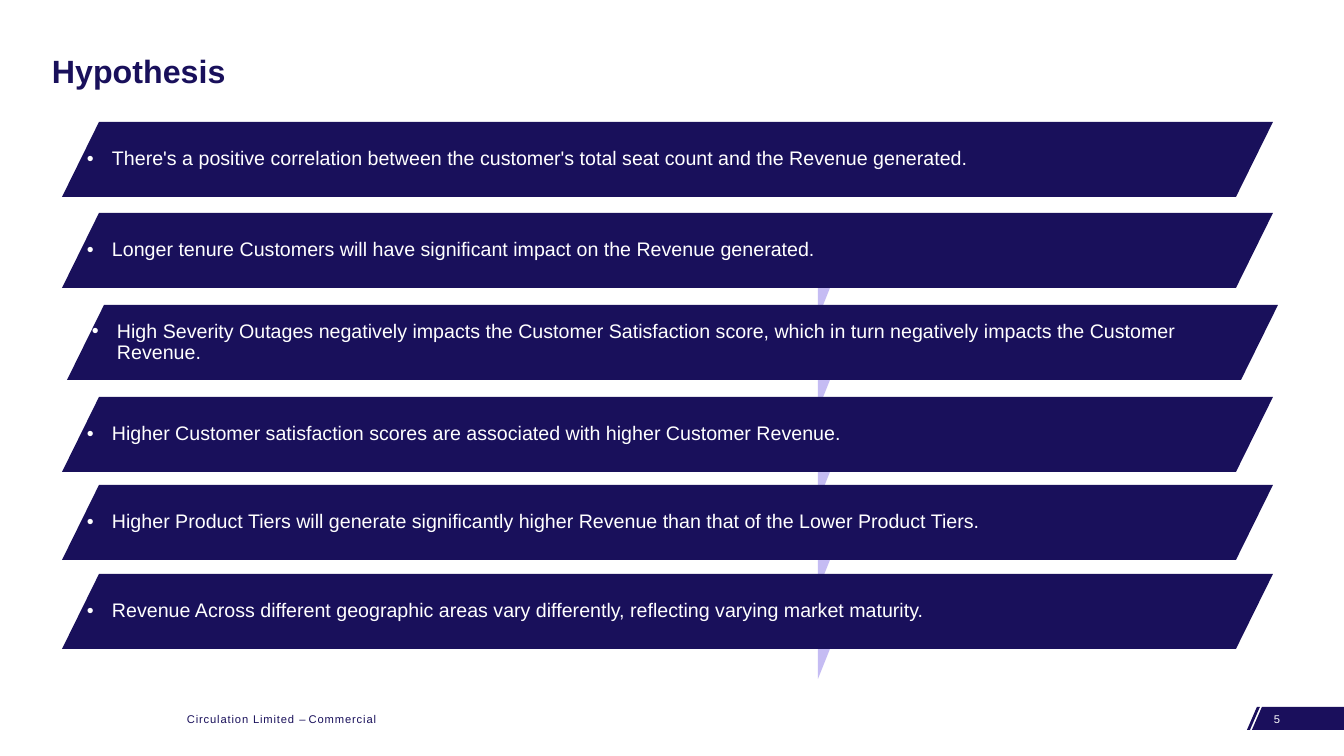
from lxml.etree import SubElement
from pptx import Presentation
from pptx.dml.color import RGBColor
from pptx.enum.text import MSO_ANCHOR, PP_ALIGN
from pptx.oxml.ns import qn
from pptx.util import Pt

PX = 12192000 / 1344
NAVY = RGBColor(0x19, 0x10, 0x5B)
FOOTER_NAVY = RGBColor(0x1A, 0x0F, 0x5C)
LAVENDER = RGBColor(0xC5, 0xBC, 0xF3)
WHITE = RGBColor(0xFF, 0xFF, 0xFF)

BAR_LEFT, BAR_WIDTH, BAR_HEIGHT, BAR_SLANT = 62, 1211, 75, 37
TAIL_LEFT, TAIL_WIDTH, TAIL_HEIGHT = 818, 12, 30
INDENT = 25
# (text, top, shift to the right)
HYPOTHESES = [
    ("There's a positive correlation between the customer's total seat count "
     "and the Revenue generated.", 122, 0),
    ("Longer tenure Customers will have significant impact on the Revenue "
     "generated.", 213, 0),
    ("High Severity Outages negatively impacts the Customer Satisfaction "
     "score, which in turn negatively impacts the Customer Revenue.", 305, 5),
    ("Higher Customer satisfaction scores are associated with higher Customer "
     "Revenue.", 397, 0),
    ("Higher Product Tiers will generate significantly higher Revenue than "
     "that of the Lower Product Tiers.", 485, 0),
    ("Revenue Across different geographic areas vary differently, reflecting "
     "varying market maturity.", 574, 0),
]


def px(n):
    return round(n * PX)


def add_text(p, text, size, color, bold=False, spacing=0):
    """Add one formatted run; spacing is in hundredths of a point."""
    r = p.add_run()
    r.text = text
    r.font.name = "Arial"
    r.font.size = Pt(size)
    r.font.bold = bold
    r.font.color.rgb = color
    if spacing:
        r.font._element.set("spc", str(spacing))


def add_box(s, left, top, width, height, anchor=MSO_ANCHOR.TOP):
    """Add a wrapping text box and return its paragraph."""
    tf = s.shapes.add_textbox(px(left), px(top), px(width), px(height)).text_frame
    tf.word_wrap = True
    tf.vertical_anchor = anchor
    return tf.paragraphs[0]


def add_outline(s, color, *contours):
    """Add a filled shape made of closed contours, given as points in px."""
    first, *others = contours
    builder = s.shapes.build_freeform(*first[0], scale=PX)
    builder.add_line_segments(first[1:])
    for points in others:
        builder.move_to(*points[0])
        builder.add_line_segments(points[1:])
    sp = builder.convert_to_shape()
    sp.shadow.inherit = False
    sp.fill.solid()
    sp.fill.fore_color.rgb = color
    sp.line.fill.background()
    return sp


def add_tail(s, top):
    right = TAIL_LEFT + TAIL_WIDTH
    add_outline(s, LAVENDER,
                [(TAIL_LEFT, top), (right, top), (TAIL_LEFT, top + TAIL_HEIGHT)])


def add_bar(s, text, top, shift):
    left = BAR_LEFT + shift
    right, bottom = left + BAR_WIDTH, top + BAR_HEIGHT
    sp = add_outline(s, NAVY, [(left + BAR_SLANT, top), (right, top),
                               (right - BAR_SLANT, bottom), (left, bottom)])
    tf = sp.text_frame
    tf.word_wrap = True
    tf.vertical_anchor = MSO_ANCHOR.MIDDLE
    tf.margin_left = tf.margin_right = px(INDENT)
    tf.margin_top = tf.margin_bottom = px(5)
    p = tf.paragraphs[0]
    p.alignment = PP_ALIGN.LEFT
    p.line_spacing = 0.9
    pPr = p._p.get_or_add_pPr()
    pPr.set("marL", str(px(INDENT)))
    pPr.set("indent", str(-px(INDENT)))
    SubElement(pPr, qn("a:buFont")).set("typeface", "Arial")
    SubElement(pPr, qn("a:buChar")).set("char", "•")
    add_text(p, text, 14, WHITE)


def add_footer(s):
    add_outline(s, FOOTER_NAVY,
                [(1257, 707), (1260, 707), (1250, 730), (1247, 730)],
                [(1344, 707), (1262, 707), (1252, 730), (1344, 730)])
    p = add_box(s, 177, 707, 221, 24)
    add_text(p, "Circulation Limited ", 8, NAVY, spacing=60)
    add_text(p, "– ", 8, NAVY)
    add_text(p, "Commercial", 8, NAVY, spacing=60)
    add_text(add_box(s, 1264, 707, 62, 24), "5", 8, WHITE)


def main():
    prs = Presentation()
    prs.slide_width, prs.slide_height = px(1344), px(756)
    s = prs.slides.add_slide(prs.slide_layouts[6])
    add_footer(s)
    title = add_box(s, 42, 20, 1260, 106, MSO_ANCHOR.MIDDLE)
    title.line_spacing = 0.9
    add_text(title, "Hypothesis", 23, NAVY, bold=True)
    for _, top, _ in HYPOTHESES[1:]:
        add_tail(s, top + BAR_HEIGHT)
    for text, top, shift in HYPOTHESES:
        add_bar(s, text, top, shift)
    prs.save("out.pptx")


if __name__ == "__main__":
    main()
